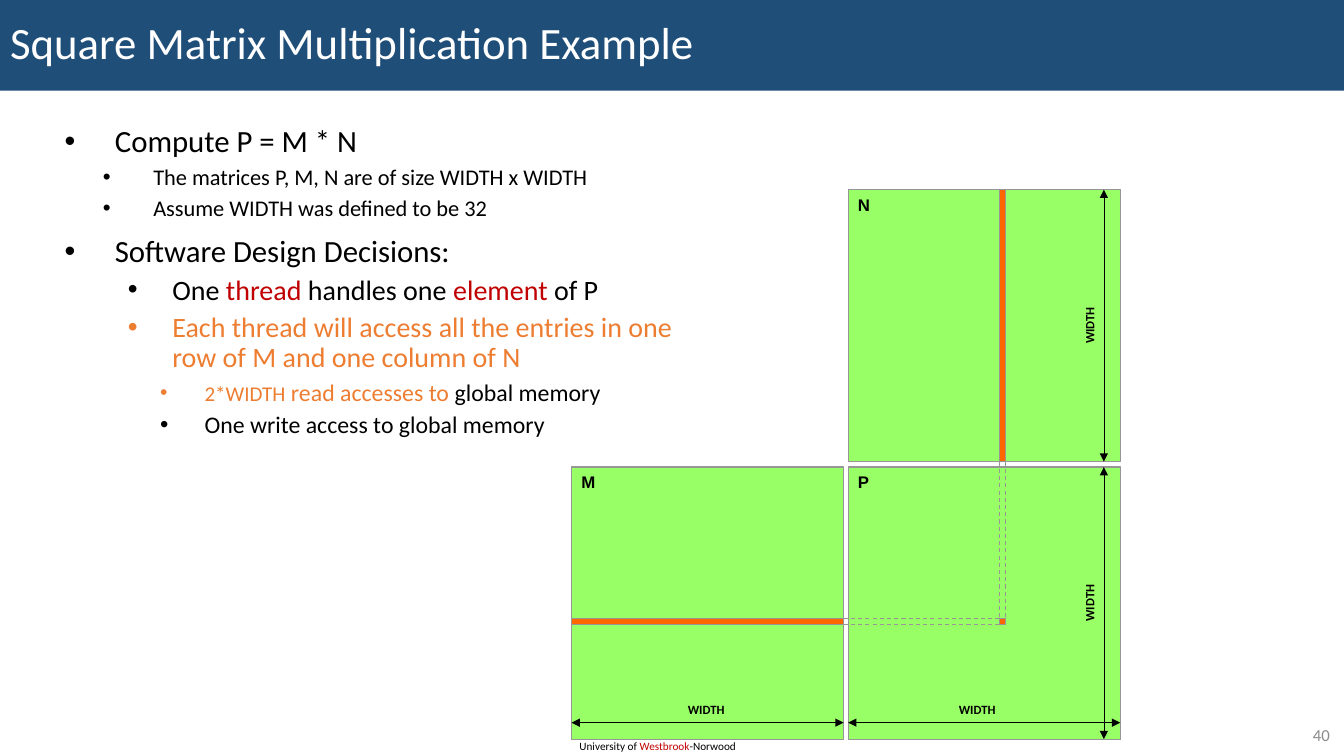
from lxml.etree import SubElement
from pptx import Presentation
from pptx.dml.color import RGBColor
from pptx.enum.dml import MSO_LINE
from pptx.enum.shapes import MSO_CONNECTOR, MSO_SHAPE
from pptx.enum.text import MSO_ANCHOR, MSO_AUTO_SIZE, PP_ALIGN
from pptx.oxml.ns import qn
from pptx.util import Pt

HUES = {"navy": "1F4E79", "white": "FFFFFF", "black": "000000", "red": "C00000",
        "amber": "ED7D31", "green": "99FF66", "orange": "FF6600",
        "edge": "969696", "gray": "8C8C8C"}

# Each item: level, left margin, hanging indent, runs of (text, size, hue)
ITEMS = [
    (0, 36, 36, [("Compute P = M * N", 22, "black")]),
    (1, 63.4, 36, [("The matrices P, M, N are of size WIDTH x WIDTH", 16, "black")]),
    (1, 63.4, 36, [("Assume WIDTH was defined to be 32", 16, "black")]),
    (0, 36, 36, [("Software Design Decisions:", 22, "black")]),
    (1, 77, 31.7, [("One ", 20, "black"), ("thread", 20, "red"),
                   (" handles one ", 20, "black"), ("element", 20, "red"),
                   (" of P", 20, "black")]),
    (1, 77, 31.7, [("Each thread will access all the entries in one row of M "
                    "and one column of N", 20, "amber")]),
    (2, 100, 31.7, [("2*WIDTH", 15, "amber"), (" read accesses to ", 17, "amber"),
                    ("global memory", 17, "black")]),
    (2, 100, 31.7, [("One write access to global memory", 17, "black")]),
]

SIDE = 194.4                  # side of each matrix
LEFT, RIGHT = 408.2, 605.8    # columns of matrices
TOP, LOW = 135.4, 333.6       # rows of matrices
COL, ROW, BAR = 713.8, 441.6, 4.5   # highlighted column, row and their width


def hue(name):
    return RGBColor.from_string(HUES[name])


def put(par, text, size=12, color="black", font="Calibri", bold=False):
    run = par.add_run()
    run.text = text
    run.font.size = Pt(size)
    run.font.name = font
    run.font.bold = bold
    run.font.color.rgb = hue(color)


class Deck:
    def __init__(self):
        self.show = Presentation()
        self.show.slide_width, self.show.slide_height = Pt(960), Pt(540)
        self.slide = self.show.slides.add_slide(self.show.slide_layouts[1])
        self.shapes = self.slide.shapes

    def place(self, shape, *box):
        shape.left, shape.top, shape.width, shape.height = map(Pt, box)

    def title(self, text, *box):
        shape = self.shapes.title
        self.place(shape, *box)
        shape.fill.solid()
        shape.fill.fore_color.rgb = hue("navy")
        frame = shape.text_frame
        frame.auto_size = MSO_AUTO_SIZE.NONE
        frame.vertical_anchor = MSO_ANCHOR.MIDDLE
        par = frame.paragraphs[0]
        par.alignment = PP_ALIGN.LEFT
        par.line_spacing = 0.9
        put(par, text, size=32, color="white")

    def body(self, items, *box):
        shape = self.slide.placeholders[1]
        self.place(shape, *box)
        frame = shape.text_frame
        frame.auto_size = MSO_AUTO_SIZE.NONE
        for i, (level, margin, hang, runs) in enumerate(items):
            par = frame.add_paragraph() if i else frame.paragraphs[0]
            par.level = level
            par.line_spacing = 0.9
            par.space_before = Pt(5 if level else 10)
            props = par._p.get_or_add_pPr()
            props.set("marL", str(Pt(margin)))
            props.set("indent", str(-Pt(hang)))
            SubElement(props, qn("a:buFont"), typeface="Arial")
            SubElement(props, qn("a:buChar"), char="•")
            for text, size, color in runs:
                put(par, text, size=size, color=color)

    def text(self, runs, *box, align=PP_ALIGN.LEFT, tight=False, turn=0, **style):
        """Add a text box of (text, hue) runs; tight drops insets and wrapping."""
        shape = self.shapes.add_textbox(*map(Pt, box))
        shape.rotation = turn
        frame = shape.text_frame
        frame.word_wrap = not tight
        if tight:
            frame.margin_left = frame.margin_right = 0
            frame.margin_top = frame.margin_bottom = 0
        par = frame.paragraphs[0]
        par.alignment = align
        for text, color in runs:
            put(par, text, color=color, **style)

    def rect(self, fill, *box, name=""):
        shape = self.shapes.add_shape(MSO_SHAPE.RECTANGLE, *map(Pt, box))
        shape.shadow.inherit = False
        shape.fill.solid()
        shape.fill.fore_color.rgb = hue(fill)
        shape.line.color.rgb = hue("edge")
        shape.line.width = Pt(0.75)
        if name:
            shape.text_frame.vertical_anchor = MSO_ANCHOR.TOP
            par = shape.text_frame.paragraphs[0]
            par.alignment = PP_ALIGN.LEFT
            put(par, name, font="Arial", bold=True)

    def line(self, *ends, arrow=False):
        """Draw a dashed guide, or a solid double arrow."""
        link = self.shapes.add_connector(MSO_CONNECTOR.STRAIGHT, *map(Pt, ends))
        link.line.color.rgb = hue("black" if arrow else "edge")
        link.line.width = Pt(0.5 if arrow else 0.75)
        if arrow:
            for tag in ("a:headEnd", "a:tailEnd"):
                SubElement(link.line._get_or_add_ln(), qn(tag), type="triangle")
        else:
            link.line.dash_style = MSO_LINE.DASH
        SubElement(link._element.spPr, qn("a:effectLst"))

    def label(self, x, y, turn=0):
        """Write WIDTH centred on a point."""
        self.text([("WIDTH", "black")], x - 13.4, y - 5.4, 26.8, 10.8, size=9,
                  bold=True, align=PP_ALIGN.CENTER, tight=True, turn=turn)


def main():
    deck = Deck()
    deck.text([("University of ", "black"), ("Westbrook", "red"),
               ("-Norwood", "black")], 406.8, 524.2, 160, 17, size=8)
    deck.title("Square Matrix Multiplication Example", 0, 0, 960, 64.8)
    deck.text([("40", "gray")], 902, 514, 55, 21, align=PP_ALIGN.RIGHT)
    deck.body(ITEMS, 38.9, 86.4, 463.7, 257.8)

    for name, x, y in (("M", LEFT, LOW), ("N", RIGHT, TOP), ("P", RIGHT, LOW)):
        deck.rect("green", x, y, SIDE, SIDE, name=name)
    deck.rect("orange", COL, TOP, BAR, SIDE)
    deck.rect("orange", LEFT, ROW, SIDE, BAR)
    deck.rect("orange", COL, ROW, BAR, BAR)
    for gap in (0, BAR):
        deck.line(COL + gap, TOP + SIDE, COL + gap, ROW)
        deck.line(LEFT + SIDE, ROW + gap, COL, ROW + gap)

    for y in (TOP, LOW):
        deck.line(788.5, y + SIDE, 788.5, y, arrow=True)
        deck.label(778, y + SIDE / 2, turn=270)
    for x, mid in ((LEFT, 504.4), (RIGHT, 698)):
        deck.line(x + SIDE, 516.2, x, 516.2, arrow=True)
        deck.label(mid, 506.5)
    deck.show.save("out.pptx")


if __name__ == "__main__":
    main()
